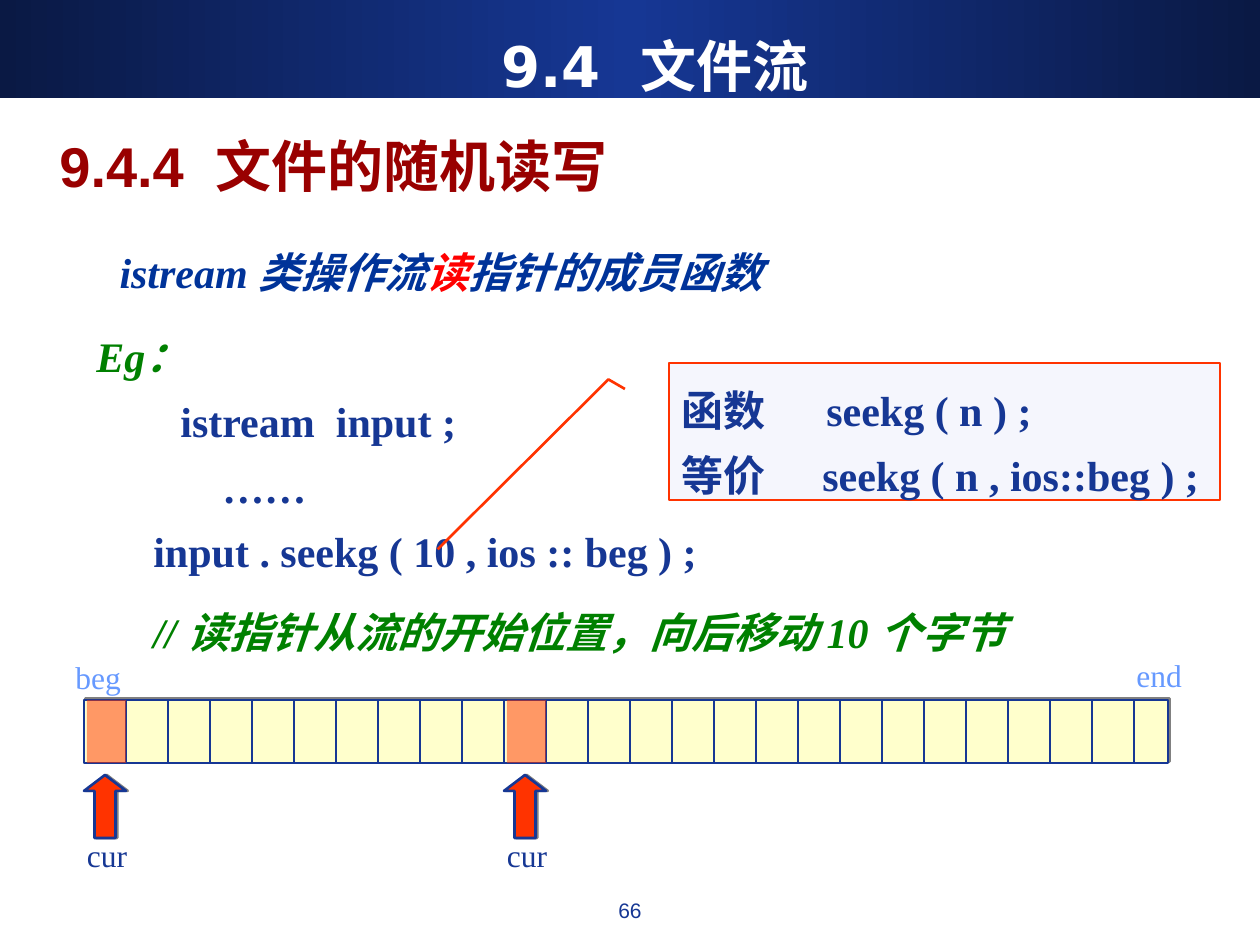
from copy import deepcopy
from dataclasses import dataclass

from lxml import etree
from pptx import Presentation
from pptx.dml.color import RGBColor
from pptx.enum.shapes import MSO_CONNECTOR, MSO_SHAPE
from pptx.enum.text import MSO_ANCHOR, MSO_AUTO_SIZE, PP_ALIGN
from pptx.oxml.ns import qn
from pptx.util import Emu, Pt

LEFT, CENTER = PP_ALIGN.LEFT, PP_ALIGN.CENTER
TOP, MIDDLE = MSO_ANCHOR.TOP, MSO_ANCHOR.MIDDLE
RECT, UP_ARROW = MSO_SHAPE.RECTANGLE, MSO_SHAPE.UP_ARROW
CALLOUT = MSO_SHAPE.LINE_CALLOUT_2
STRAIGHT = MSO_CONNECTOR.STRAIGHT
PX_PER_INCH = 126


@dataclass(frozen=True)
class Theme:
    navy: str = "163794"
    deep_navy: str = "0A1944"
    white: str = "FFFFFF"
    maroon: str = "990000"
    blue: str = "003399"
    red: str = "FF0000"
    green: str = "008000"
    sky: str = "6699FF"
    orange: str = "FF3300"
    cream: str = "FFFFCC"
    mist: str = "F5F6FD"
    gray: str = "808080"
    serif: str = "Times New Roman"
    sans: str = "Arial"
    heading: str = "DejaVu Sans"
    heading_size: int = 32
    body_size: int = 24
    label_size: int = 18
    number_size: int = 12
    line_width: float = 1.5


THEME = Theme()


@dataclass(frozen=True)
class Box:
    left: int
    top: int
    width: int
    height: int


@dataclass(frozen=True)
class Run:
    text: str
    color: str


@dataclass(frozen=True)
class Line:
    runs: str | tuple[Run, ...]
    color: str = THEME.navy
    size: int = THEME.body_size
    font: str = THEME.serif
    bold: bool = True
    italic: bool = False
    align: PP_ALIGN = LEFT
    spacing: float = 1.0
    indent: int = 0
    tab: int = 0


def px(length: int) -> Emu:
    return Emu(round(length * 914400 / PX_PER_INCH))


def rgb(color: str) -> RGBColor:
    return RGBColor.from_string(color)


def place(box: Box) -> tuple[Emu, Emu, Emu, Emu]:
    return px(box.left), px(box.top), px(box.width), px(box.height)


def write(frame, lines: list[Line], anchor: MSO_ANCHOR = TOP) -> None:
    frame.vertical_anchor = anchor
    for index, line in enumerate(lines):
        paragraph = frame.add_paragraph() if index else frame.paragraphs[0]
        paragraph.alignment = line.align
        paragraph.line_spacing = line.spacing
        properties = paragraph._p.get_or_add_pPr()
        if line.indent:
            properties.set("marL", str(px(line.indent)))
            properties.set("indent", "0")
        if line.tab:
            stops = etree.SubElement(properties, qn("a:tabLst"))
            etree.SubElement(stops, qn("a:tab"), pos=str(px(line.tab)), algn="l")
        font = paragraph.font
        font.name, font.size = line.font, Pt(line.size)
        font.bold, font.italic = line.bold, line.italic
        font.color.rgb = rgb(line.color)
        if isinstance(line.runs, str):
            paragraph.add_run().text = line.runs
            continue
        for part in line.runs:
            run = paragraph.add_run()
            run.text = part.text
            run.font.color.rgb = rgb(part.color)


def add_text(slide, box: Box, lines: list[Line], anchor: MSO_ANCHOR = TOP) -> None:
    frame = slide.shapes.add_textbox(*place(box)).text_frame
    frame.word_wrap = False
    frame.auto_size = MSO_AUTO_SIZE.SHAPE_TO_FIT_TEXT
    write(frame, lines, anchor)


def add_figure(slide, kind: MSO_SHAPE, box: Box, fill: str, line: str | None = None):
    figure = slide.shapes.add_shape(kind, *place(box))
    figure.shadow.inherit = False
    figure.fill.solid()
    figure.fill.fore_color.rgb = rgb(fill)
    if line:
        figure.line.color.rgb = rgb(line)
        figure.line.width = Pt(THEME.line_width)
    else:
        figure.line.fill.background()
    return figure


def cast_shadow(figure, distance: float, degrees: int) -> None:
    effects = figure._element.spPr.find(qn("a:effectLst"))
    shadow = etree.SubElement(effects, qn("a:outerShdw"), dist=str(Pt(distance)),
                              dir=str(degrees * 60000), algn="ctr", rotWithShape="0")
    etree.SubElement(shadow, qn("a:srgbClr"), val=THEME.gray)


def add_band(slide) -> None:
    band = add_figure(slide, RECT, Box(0, 0, 1260, 98), THEME.navy)
    band.fill.gradient()
    band.fill.gradient_angle = 0
    first, last = band.fill.gradient_stops
    for stop, position in ((first, 0), (last, 1)):
        stop.color.rgb = rgb(THEME.deep_navy)
        stop.position = position
    stop_list = band._element.spPr.find(qn("a:gradFill")).find(qn("a:gsLst"))
    middle = deepcopy(stop_list[0])
    middle.set("pos", "50000")
    middle.find(qn("a:srgbClr")).set("val", THEME.navy)
    stop_list.insert(1, middle)


def add_stream(slide, stream: Box, cell: int) -> None:
    """Draw the byte stream with a divider after each cell."""
    bar = add_figure(slide, RECT, stream, THEME.cream, THEME.navy)
    cast_shadow(bar, 1.4, 315)
    for x in range(stream.left + cell, stream.left + stream.width, cell):
        divider = slide.shapes.add_connector(
            STRAIGHT, px(x), px(stream.top), px(x), px(stream.top + stream.height))
        divider.line.color.rgb = rgb(THEME.navy)
        divider.line.width = Pt(THEME.line_width)
        etree.SubElement(divider._element.spPr, qn("a:effectLst"))


def label(text: str, color: str, align: PP_ALIGN = LEFT, spacing: float = 1.0) -> Line:
    return Line(text, color, THEME.label_size, bold=False, align=align, spacing=spacing)


def add_cursor(slide, stream: Box, cell: int, index: int) -> None:
    """Mark one cell as the current read position."""
    left = stream.left + index * cell
    arrow = add_figure(slide, UP_ARROW, Box(left, 775, cell, 63), THEME.orange, THEME.navy)
    arrow.adjustments[0], arrow.adjustments[1] = 0.5, 0.38
    cast_shadow(arrow, 1, 0)
    mark = add_figure(slide, RECT, Box(left + 3, stream.top, cell - 3, stream.height),
                      THEME.orange)
    color = mark._element.spPr.find(qn("a:solidFill"))[0]
    etree.SubElement(color, qn("a:alpha"), val="50000")
    add_text(slide, Box(left - 10, 837, 66, 43), [label("cur", THEME.navy, CENTER, 0.8)])


def main() -> None:
    deck = Presentation()
    deck.slide_width, deck.slide_height = px(1260), px(945)
    slide = deck.slides.add_slide(deck.slide_layouts[5])
    add_band(slide)

    title = slide.shapes.title
    title.left, title.top, title.width, title.height = place(Box(72, 26, 1166, 78))
    title.text_frame.auto_size = MSO_AUTO_SIZE.NONE
    write(title.text_frame, [Line("9.4  文件流", THEME.white, THEME.heading_size,
                                  THEME.heading, align=CENTER)], MIDDLE)
    # The band goes behind the title.
    slide.shapes._spTree.append(title._element)

    add_text(slide, Box(47, 125, 587, 81), [
        Line("9.4.4  文件的随机读写", THEME.maroon, THEME.heading_size, THEME.sans)], MIDDLE)
    add_text(slide, Box(102, 195, 678, 108), [
        Line((Run("istream 类操作流", THEME.blue), Run("读", THEME.red),
              Run("指针的成员函数", THEME.blue)),
             italic=True, align=CENTER, spacing=1.9)])
    add_text(slide, Box(84, 309, 386, 209), [
        Line("Eg：", THEME.green, italic=True, spacing=1.3),
        Line("istream  input ;", spacing=1.3, indent=84),
        Line("……", spacing=1.3, indent=126)])

    stream, cell = Box(84, 700, 1084, 63), 42
    add_stream(slide, stream, cell)
    add_text(slide, Box(63, 652, 84, 50), [label("beg", THEME.sky)])
    add_text(slide, Box(1124, 650, 84, 50), [label("end", THEME.sky)])
    add_text(slide, Box(141, 489, 907, 174), [
        Line("input . seekg ( 10 , ios :: beg ) ;", spacing=1.6),
        Line("// 读指针从流的开始位置，向后移动 10 个字节", THEME.green,
             italic=True, spacing=1.6)])

    callout = add_figure(slide, CALLOUT, Box(669, 363, 551, 137), THEME.mist, THEME.orange)
    for index, value in enumerate((0.19, -0.08, 0.12, -0.11, 1.36, -0.42)):
        callout.adjustments[index] = value
    write(callout.text_frame, [
        Line("函数\tseekg ( n ) ;", spacing=1.3, tab=145),
        Line("等价\tseekg ( n , ios::beg ) ;", spacing=1.3, tab=141)])

    for index in (0, 10):
        add_cursor(slide, stream, cell, index)
    add_text(slide, Box(483, 891, 294, 44), [
        Line("66", size=THEME.number_size, font=THEME.sans, bold=False, align=CENTER)])
    deck.save("out.pptx")


if __name__ == "__main__":
    main()
